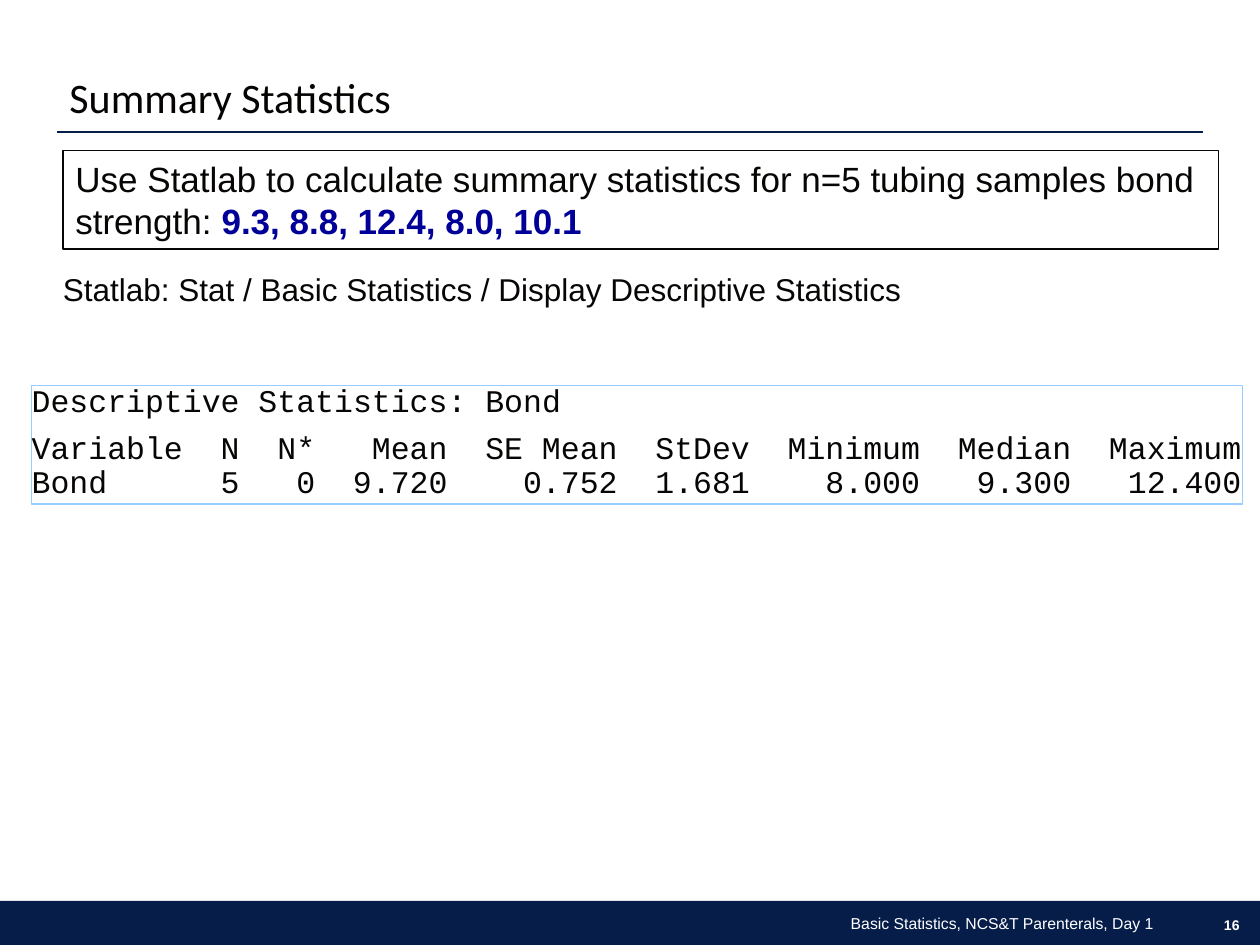
"""Build the summary statistics slide."""
from lxml.etree import SubElement
from pptx import Presentation
from pptx.dml.color import RGBColor
from pptx.enum.shapes import MSO_CONNECTOR, MSO_SHAPE
from pptx.enum.text import MSO_ANCHOR, MSO_AUTO_SIZE, PP_ALIGN
from pptx.oxml.ns import qn
from pptx.util import Cm, Pt

THEME = {
    "color": {"navy": "071D49", "ink": "070605", "title": "050403",
              "accent": "000099", "frame": "99CCFF", "white": "FFFFFF"},
    "text": {
        "title": {"name": "Calibri", "size": Pt(24), "bold": False},
        "task": {"name": "Arial", "size": Pt(20), "bold": False},
        "data": {"name": "Arial", "size": Pt(20), "bold": True},
        "menu": {"name": "Arial", "size": Pt(18), "bold": False},
        "output": {"name": "Courier New", "size": Pt(18), "bold": False},
        "footer": {"name": "Arial", "size": Pt(9), "bold": False},
        "number": {"name": "Arial", "size": Pt(8), "bold": True},
    },
}
INSETS = ("margin_left", "margin_top", "margin_right", "margin_bottom")
PADDED = (0.25, 0.13, 0.25, 0.13)
FLUSH = (0, 0, 0, 0)


def rgb(name):
    return RGBColor.from_string(THEME["color"][name])


def write(p, runs, **layout):
    for key, value in layout.items():
        setattr(p, key, value)
    for text, style, color in runs:
        for i, line in enumerate(text.split("\n")):
            if i:
                p.add_line_break()
            r = p.add_run()
            r.text = line
            for key, value in THEME["text"][style].items():
                setattr(r.font, key, value)
            r.font.color.rgb = rgb(color)


prs = Presentation()
prs.slide_width, prs.slide_height = Cm(25.4), Cm(19.05)
s = prs.slides.add_slide(prs.slide_layouts[5])
title = s.shapes.title

rects = {}
for name, box, fill, line in (
    ("band", (0, 18.16, 25.4, 0.89), "navy", None),
    ("task", (1.27, 3.04, 23.29, 1.98), None, "ink"),
    ("output", (0.64, 7.77, 24.41, 2.39), None, "frame"),
):
    sp = s.shapes.add_shape(MSO_SHAPE.RECTANGLE, *map(Cm, box))
    sp.shadow.inherit = False
    if fill:
        sp.fill.solid()
        sp.fill.fore_color.rgb = rgb(fill)
    else:
        sp.fill.background()
    if line:
        sp.line.color.rgb = rgb(line)
        sp.line.width = Pt(0.75)
    else:
        sp.line.fill.background()
    rects[name] = sp

rule = s.shapes.add_connector(MSO_CONNECTOR.STRAIGHT, Cm(1.14), Cm(2.66), Cm(24.26), Cm(2.66))
rule.line.color.rgb = rgb("navy")
rule.line.width = Pt(0.75)
SubElement(rule._element.spPr, qn("a:effectLst"))

title.left, title.top, title.width, title.height = map(Cm, (1.4, 0.79, 22.91, 1.68))
menu, footer, number = (
    s.shapes.add_textbox(*map(Cm, box))
    for box in ((1.27, 5.44, 20.52, 0.76), (8.26, 18.36, 15.24, 0.51), (23.57, 18.42, 1.42, 0.46))
)

for sp, anchor, insets in (
    (title, MSO_ANCHOR.BOTTOM, FLUSH),
    (rects["task"], MSO_ANCHOR.TOP, PADDED),
    (menu, MSO_ANCHOR.TOP, FLUSH),
    (rects["output"], MSO_ANCHOR.TOP, FLUSH),
    (footer, MSO_ANCHOR.MIDDLE, PADDED),
    (number, MSO_ANCHOR.MIDDLE, (0.25, 0.13, 0, 0.13)),
):
    tf = sp.text_frame
    tf.auto_size, tf.word_wrap, tf.vertical_anchor = MSO_AUTO_SIZE.NONE, True, anchor
    for key, value in zip(INSETS, insets):
        setattr(tf, key, Cm(value))

for sp, runs, layout in (
    (title, [("Summary Statistics", "title", "title")],
     {"alignment": PP_ALIGN.LEFT, "line_spacing": 0.9}),
    (rects["task"], [
        ("Use Statlab to calculate summary statistics for n=5 tubing samples bond strength: ",
         "task", "ink"),
        ("9.3, 8.8, 12.4, 8.0, 10.1", "data", "accent")],
     {"alignment": PP_ALIGN.LEFT}),
    (menu, [("Statlab: Stat / Basic Statistics / Display Descriptive Statistics", "menu", "ink")],
     {"alignment": PP_ALIGN.LEFT}),
    (footer, [("Basic Statistics, NCS&T Parenterals, Day 1", "footer", "white")],
     {"alignment": PP_ALIGN.RIGHT}),
    (number, [("16", "number", "white")], {"alignment": PP_ALIGN.RIGHT}),
):
    write(sp.text_frame.paragraphs[0], runs, **layout)

header = ("Variable", "N", "N*", "Mean", "SE Mean", "StDev", "Minimum", "Median", "Maximum")
values = ("Bond", "5", "0", "9.720", "0.752", "1.681", "8.000", "9.300", "12.400")
char_width = 0.381
column_ends = (11, 15, 22, 31, 38, 47, 55, 64)

tf = rects["output"].text_frame
layout = {"alignment": PP_ALIGN.LEFT, "line_spacing": 0.9, "space_after": Pt(7.2)}
write(tf.paragraphs[0], [("Descriptive Statistics: Bond", "output", "ink")], **layout)
p = tf.add_paragraph()
tabs = SubElement(p._p.get_or_add_pPr(), qn("a:tabLst"))
for end in column_ends:
    SubElement(tabs, qn("a:tab"), pos=str(Cm(end * char_width)), algn="r")
rows = "\n".join("\t".join(row) for row in (header, values))
write(p, [(rows, "output", "ink")], **layout)

prs.save("out.pptx")
